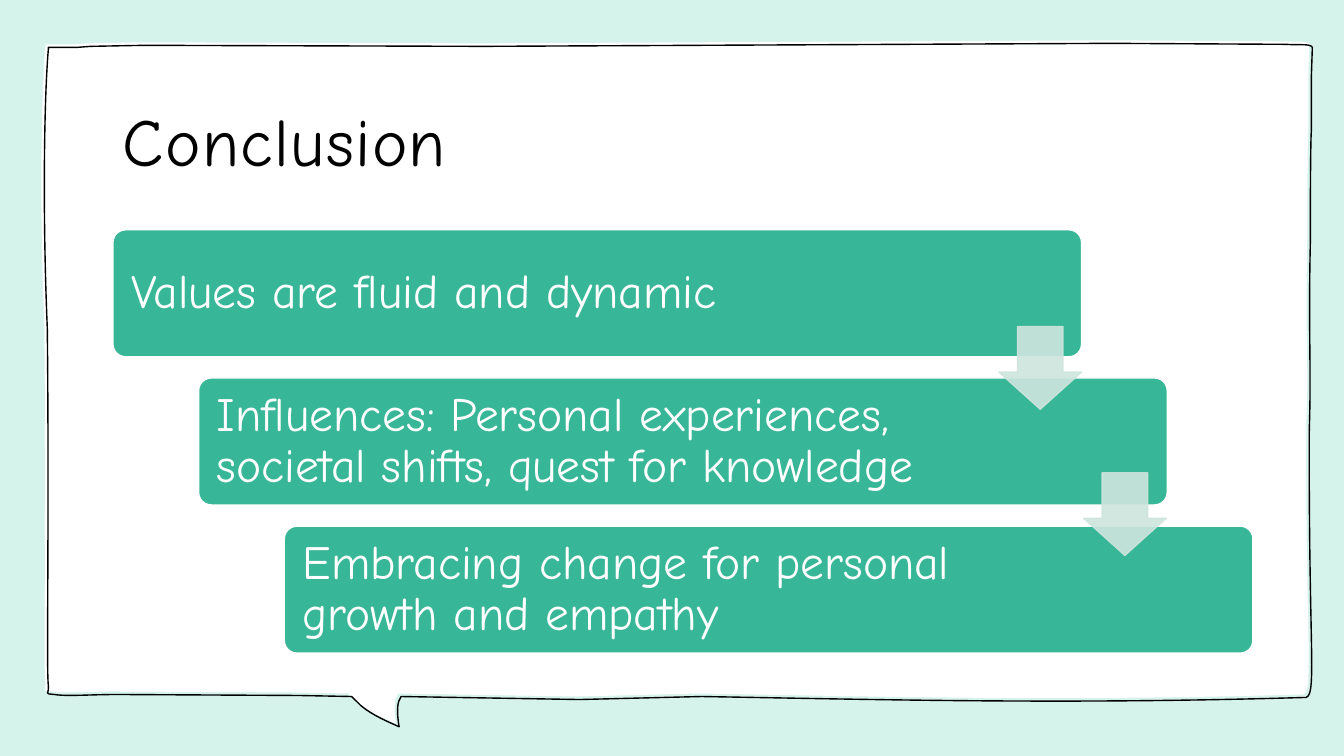
from pptx import Presentation, util as u
from pptx.dml.color import RGBColor
from pptx.enum import shapes as sh, text as tx
from pptx.oxml.ns import qn
from lxml import etree

PX = 9144  # 100 px to the inch
MINT = RGBColor(0xD5, 0xF2, 0xEB)
GREEN = RGBColor(0x38, 0xB6, 0x98)
PALE = RGBColor(0xCE, 0xE5, 0xDD)
WHITE = RGBColor(0xFF, 0xFF, 0xFF)
BLACK = RGBColor(0, 0, 0)


def paint(shape, fill, line, alpha=None):
    shape.shadow.inherit = False
    for part, color in ((shape.fill, fill), (shape.line.fill, line)):
        if color is None:
            part.background()
            continue
        part.solid()
        part.fore_color.rgb = color
    if line is not None:
        shape.line.width = u.Pt(1)
    if alpha:
        for clr in shape._element.spPr.iter(qn("a:srgbClr")):
            etree.SubElement(clr, qn("a:alpha")).set("val", str(alpha * 1000))


def write(shape, words, form):
    frame = shape.text_frame
    frame.word_wrap = True
    frame.auto_size = tx.MSO_AUTO_SIZE.NONE
    frame.vertical_anchor = tx.MSO_ANCHOR.MIDDLE
    para = frame.paragraphs[0]
    para.alignment = tx.PP_ALIGN.LEFT
    run = para.add_run()
    run.text = words
    run.font.color.rgb = form["color"]
    for key in ("name", "size"):
        setattr(run.font, key, form[key])
    return run


deck = Presentation()
deck.slide_width, deck.slide_height = 4000 * PX // 3, 750 * PX
slide = deck.slides.add_slide(deck.slide_layouts[5])
slide.background.fill.solid()
slide.background.fill.fore_color.rgb = MINT

# Speech bubble: pairs are corners, sixes are Bezier curves
start = (1103, 43)
bubble = [
    (1276, 44), (1289, 45, 1300, 43, 1302, 47), (1301, 77),
    (1301, 94, 1301, 113, 1301, 130), (1300, 142, 1300, 235, 1300, 242),
    (1298, 330, 1301, 365, 1299, 425), (1298, 656, 1308, 695, 1293, 692),
    (1056, 699, 872, 694, 696, 691), (575, 694), (398, 691), (396, 695),
    (394, 699, 394, 710, 396, 721), (385, 716, 370, 710, 358, 700),
    (349, 691), (296, 690), (117, 689), (90, 689, 66, 691, 54, 689),
    (43, 688, 49, 689, 48, 680), (46, 665, 49, 522, 47, 326),
    (42, 207, 44, 96, 48, 49), (48, 48, 48, 48, 48, 47), (54, 47),
    (77, 47), (90, 46), (143, 45), (480, 46), start,
]
dots = [start] + [step[i:i + 2] for step in bubble for i in range(0, len(step), 2)]

for shift, fill, line in ((-3, WHITE, None), (0, None, BLACK)):
    spots = [((x + shift) * PX, (y + shift) * PX) for x, y in dots]
    pen = slide.shapes.build_freeform(*spots[0])
    pen.add_line_segments(spots[1:], close=True)
    shape = pen.convert_to_shape()
    # Join each run of three points into one curve
    legs = iter(list(shape._element.spPr.iter(qn("a:lnTo"))))
    for step in bubble:
        leg = next(legs)
        if len(step) == 6:
            curve = etree.Element(qn("a:cubicBezTo"))
            leg.addprevious(curve)
            for part in (leg, next(legs), next(legs)):
                curve.append(part[0])
                part.getparent().remove(part)
    paint(shape, fill, line)

# Title, raised above the bubble
title = slide.shapes.title
title.left, title.top, title.width, title.height = (
    n * PX for n in (112, 61, 1130, 155))
run = write(title, "Conclusion",
            {"name": "Comic Neue", "size": u.Pt(48), "color": BLACK})
run.font._element.set("spc", "100")
slide.shapes._spTree.append(title._element)

# Staircase of steps
form = {"name": "Comic Neue", "size": u.Pt(34), "color": WHITE}
steps = [
    ("Values are fluid and dynamic", 825),
    ("Influences: Personal experiences, societal shifts, quest for knowledge", 787),
    ("Embracing change for personal growth and empathy", 787),
]
for i, (words, wide) in enumerate(steps):
    left, top = 112 + 85 * i, 228 + 147 * i
    card = slide.shapes.add_shape(
        sh.MSO_SHAPE.ROUNDED_RECTANGLE, left * PX, top * PX, 961 * PX, 126 * PX)
    card.adjustments[0] = 0.1
    paint(card, GREEN, WHITE)
    box = slide.shapes.add_textbox(
        (left + 4) * PX, (top + 4) * PX, wide * PX, 118 * PX)
    write(box, words, form)
    box.text_frame.paragraphs[0].line_spacing = 0.9
    for side in ("left", "top", "right", "bottom"):
        setattr(box.text_frame, "margin_" + side, 14 * PX)

# Arrows between steps
for i in range(len(steps) - 1):
    arrow = slide.shapes.add_shape(
        sh.MSO_SHAPE.DOWN_ARROW, (991 + 84 * i) * PX, (324 + 145 * i) * PX,
        82 * PX, 82 * PX)
    arrow.adjustments[0], arrow.adjustments[1] = 0.55, 0.45
    paint(arrow, PALE, PALE, 90)

deck.save("out.pptx")
